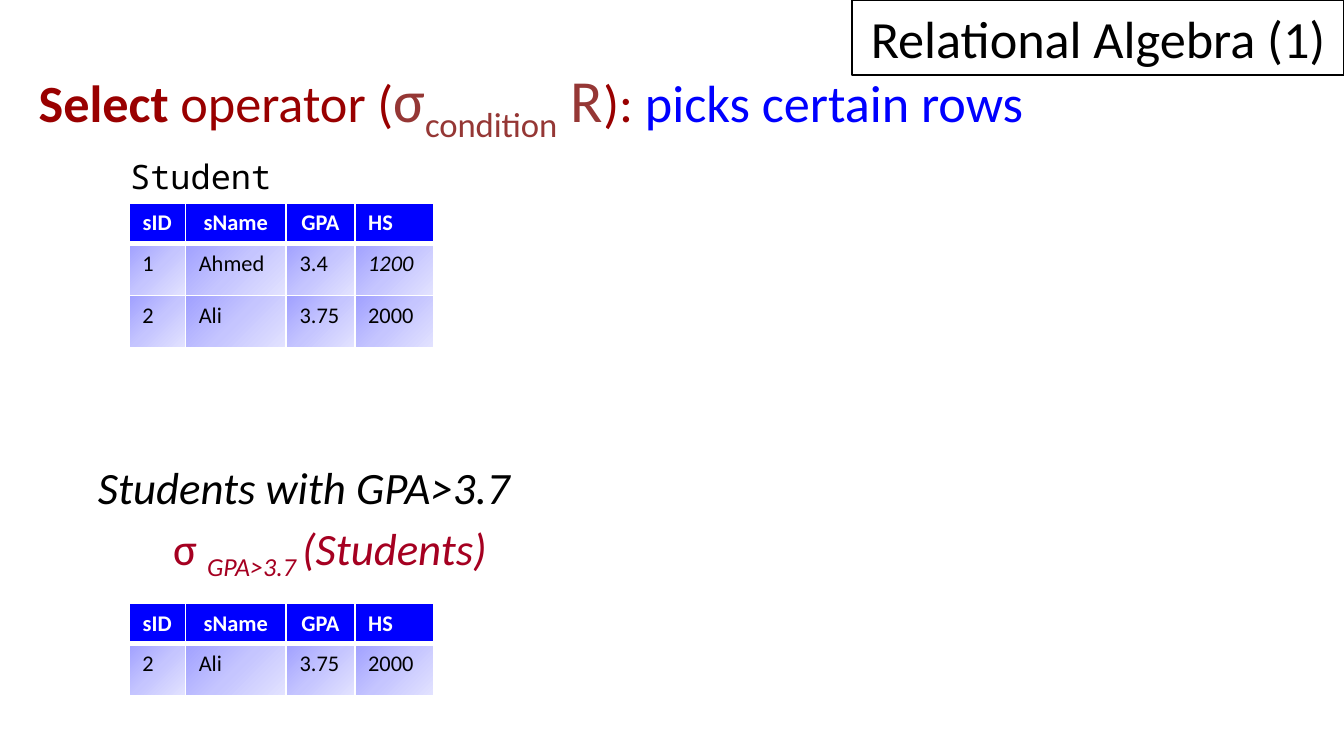
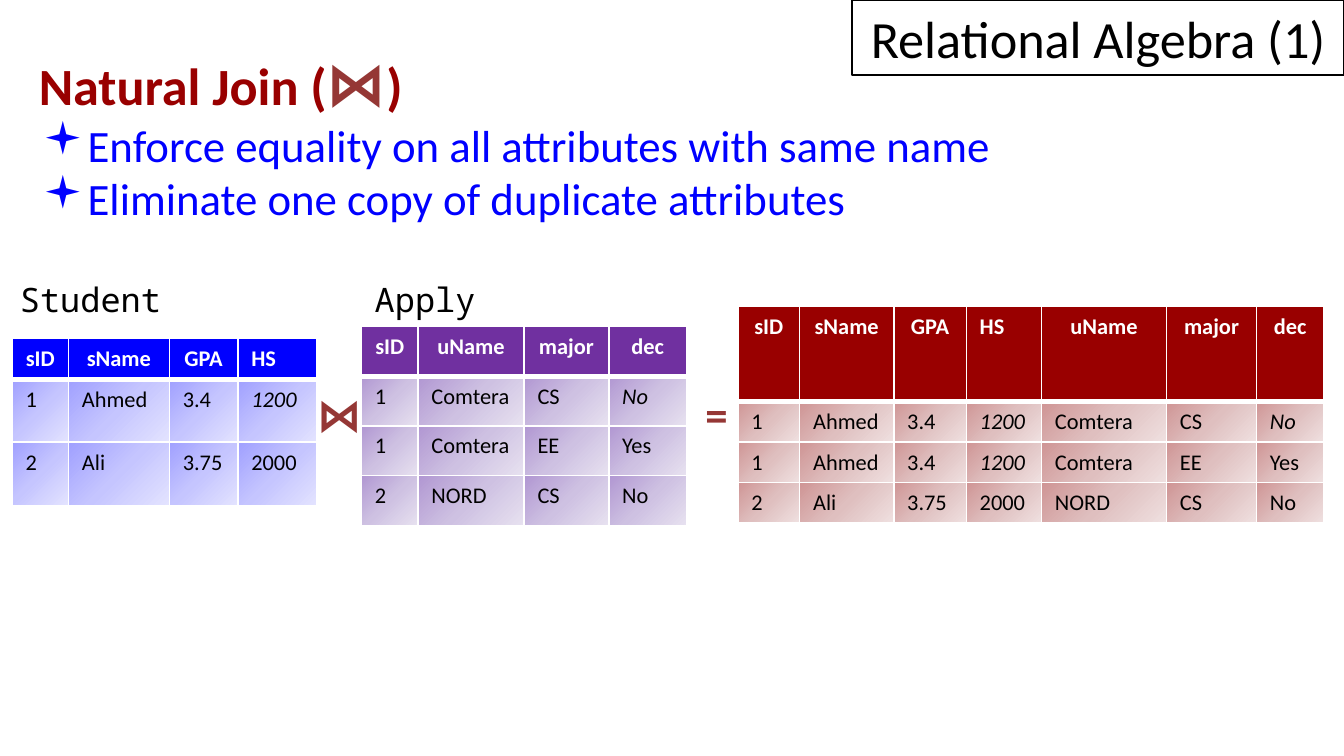
from lxml.etree import SubElement
from pptx import Presentation
from pptx.dml.color import RGBColor
from pptx.enum.shapes import MSO_SHAPE
from pptx.enum.text import MSO_ANCHOR, PP_ALIGN
from pptx.oxml.ns import qn
from pptx.util import Inches, Pt

SANS, MONO = "Calibri", "Noto Sans Mono"
BLACK, WHITE = "000000", "FFFFFF"
BLUE, RED, BROWN, CRIMSON = "0000FF", "990000", "953735", "A50021"
BANNER = "Relational Algebra (1)"
BLUE_TABLE = (BLUE, ("A0A0FF", "C5C5FF", "E3E3FF"))
PURPLE_TABLE = ("7030A0", ("B197D2", "CEC1E2", "E7E1F0"))
RED_TABLE = (RED, ("CF9595", "DFBFBF", "EFE0E0"))

STUDENT_COLS = [0.42, 0.75, 0.51, 0.59]
APPLY_COLS = [0.42, 0.79, 0.63, 0.58]
JOIN_COLS = [0.46, 0.7, 0.54, 0.56, 0.93, 0.67, 0.5]
STUDENT = [
    ["sID", "sName", "GPA", "HS"],
    ["1", "Ahmed", "3.4", "1200"],
    ["2", "Ali", "3.75", "2000"],
]
SELECTED = [STUDENT[0], STUDENT[2]]
APPLY = [
    ["sID", "uName", "major", "dec"],
    ["1", "Comtera", "CS", "No"],
    ["1", "Comtera", "EE", "Yes"],
    ["2", "NORD", "CS", "No"],
]
JOINED = [s + a[1:] for s in STUDENT for a in APPLY if s[0] == a[0]]
STUDENT_ITALIC = {(1, 3)}
APPLY_ITALIC = {(1, 3)}
JOIN_ITALIC = {(1, 3), (1, 6), (2, 3)}

SELECT_TITLE = [
    ("Select ", dict(size=28, color=RED, bold=True)),
    ("operator (", dict(size=28, color=RED)),
    ("σ", dict(size=32, color=BROWN)),
    ("condition", dict(size=32, color=BROWN, sub=True)),
    (" R", dict(size=32, color=BROWN)),
    ("): ", dict(size=28, color=RED)),
    ("picks certain rows", dict(size=28, color=BLUE)),
]
SELECT_QUERY = [("Students with GPA>3.7", dict(size=24, italic=True))]
SELECT_FORMULA = [
    ("σ ", dict(size=24, color=CRIMSON)),
    ("GPA>3.7 ", dict(size=24, color=CRIMSON, italic=True, sub=True)),
    ("(Students)", dict(size=24, color=CRIMSON, italic=True)),
]
JOIN_TITLE = [
    ("Natural Join (", dict(size=28, color=RED, bold=True)),
    ("⋈", dict(size=32, color=BROWN, bold=True)),
    (")", dict(size=28, color=RED, bold=True)),
]
JOIN_RULES = [
    "Enforce equality on all attributes with same name",
    "Eliminate one copy of duplicate attributes",
]
JOIN_SIGNS = [("⋈", 2.26), ("=", 5.15)]


def rgb(value):
    return RGBColor.from_string(value)


def add_run(p, text, size=12, color=BLACK, font=SANS, bold=False,
            italic=False, sub=False):
    r = p.add_run()
    r.text = text
    f = r.font
    f.size, f.name, f.bold, f.italic = Pt(size), font, bold, italic
    f.color.rgb = rgb(color)
    if sub:
        r._r.get_or_add_rPr().set("baseline", "-25000")


def add_paragraph(tf, runs, left=0, first=0, space=0, bullet=None):
    p = tf.paragraphs[0]
    if p.runs:
        p = tf.add_paragraph()
    p.space_before = p.space_after = Pt(space)
    pPr = p._p.get_or_add_pPr()
    pPr.set("marL", str(Inches(left)))
    pPr.set("indent", str(Inches(first)))
    if bullet:
        clr = SubElement(pPr, qn("a:buClr"))
        SubElement(clr, qn("a:srgbClr"), val=BLUE)
        SubElement(pPr, qn("a:buFont"), typeface="Wingdings")
        SubElement(pPr, qn("a:buChar"), char=bullet)
    for text, style in runs:
        add_run(p, text, **style)


def add_box(s, left, top, width, height, wrap=True):
    sp = s.shapes.add_textbox(*map(Inches, (left, top, width, height)))
    sp.text_frame.word_wrap = wrap
    return sp.text_frame


def add_label(s, text, left, top, width):
    tf = add_box(s, left, top, width, 0.4, wrap=False)
    add_paragraph(tf, [(text, dict(size=18, font=MONO))])


def add_banner(s):
    sp = s.shapes.add_shape(MSO_SHAPE.RECTANGLE, Inches(6.34), 0,
                            Inches(3.66), Inches(0.56))
    sp.shadow.inherit = False
    sp.fill.background()
    sp.line.color.rgb = rgb(BLACK)
    sp.line.width = Pt(0.75)
    tf = sp.text_frame
    tf.vertical_anchor = MSO_ANCHOR.BOTTOM
    tf.paragraphs[0].alignment = PP_ALIGN.CENTER
    add_run(tf.paragraphs[0], BANNER, size=28)


def set_borders(cell, top, bottom):
    tcPr = cell._tc.get_or_add_tcPr()
    sides = (("L", 1), ("R", 1), ("T", top), ("B", bottom))
    for i, (side, width) in enumerate(sides):
        ln = SubElement(tcPr, qn("a:ln" + side), w=str(Pt(width)))
        fill = SubElement(ln, qn("a:solidFill"))
        SubElement(fill, qn("a:srgbClr"), val=WHITE)
        tcPr.insert(i, ln)


def set_gradient(cell, colors):
    grad = SubElement(cell._tc.get_or_add_tcPr(), qn("a:gradFill"))
    stops = SubElement(grad, qn("a:gsLst"))
    for i, color in enumerate(colors):
        gs = SubElement(stops, qn("a:gs"), pos=str(i * 50000))
        SubElement(gs, qn("a:srgbClr"), val=color)
    SubElement(grad, qn("a:lin"), ang="2700000", scaled="0")


def add_data_table(s, rows, left, top, cols, head_h, row_h, theme, italics=()):
    heights = [head_h] + [row_h] * (len(rows) - 1)
    frame = s.shapes.add_table(len(rows), len(cols), Inches(left), Inches(top),
                               Inches(sum(cols)), Inches(sum(heights)))
    table = frame.table
    table.horz_banding = False
    for column, width in zip(table.columns, cols):
        column.width = Inches(width)
    for row, height in zip(table.rows, heights):
        row.height = Inches(height)
    head_color, body_colors = theme
    for i, values in enumerate(rows):
        for j, text in enumerate(values):
            cell = table.cell(i, j)
            p = cell.text_frame.paragraphs[0]
            if i == 0:
                cell.fill.solid()
                cell.fill.fore_color.rgb = rgb(head_color)
                p.alignment = PP_ALIGN.LEFT if text == "HS" else PP_ALIGN.CENTER
                add_run(p, text, color=WHITE, bold=True)
            else:
                set_gradient(cell, body_colors)
                add_run(p, text, italic=(i, j) in italics)
            set_borders(cell, 3 if i == 1 else 1, 3 if i == 0 else 1)


def add_slide(prs):
    s = prs.slides.add_slide(prs.slide_layouts[6])
    add_banner(s)
    return s


def build_select(prs):
    s = add_slide(prs)
    tf = add_box(s, 0.09, 0.42, 8.86, 0.65)
    add_paragraph(tf, SELECT_TITLE, left=0.66, first=-0.56, space=3)
    tf = add_box(s, 0.09, 3.37, 8.86, 1)
    add_paragraph(tf, SELECT_QUERY, left=1.1, first=-0.56, space=2)
    add_paragraph(tf, SELECT_FORMULA, left=1.1, space=2)
    add_label(s, "Student", 0.87, 1.11, 1.27)
    add_data_table(s, STUDENT, 0.96, 1.51, STUDENT_COLS, 0.3, 0.39,
                   BLUE_TABLE, STUDENT_ITALIC)
    add_data_table(s, SELECTED, 0.96, 4.49, STUDENT_COLS, 0.3, 0.39, BLUE_TABLE)


def build_join(prs):
    s = add_slide(prs)
    tf = add_box(s, 0.09, 0.29, 9.11, 1.5)
    add_paragraph(tf, JOIN_TITLE, left=0.66, first=-0.56)
    for rule in JOIN_RULES:
        add_paragraph(tf, [(rule, dict(size=24, color=BLUE))],
                      left=0.44, first=-0.31, bullet="▪")
    for sign, left in JOIN_SIGNS:
        tf = add_box(s, left, 2.83, 0.5, 0.5, wrap=False)
        add_paragraph(tf, [(sign, dict(size=24, color=BROWN, bold=True))])
    add_data_table(s, JOINED, 5.49, 2.28, JOIN_COLS, 0.71, 0.3,
                   RED_TABLE, JOIN_ITALIC)
    add_data_table(s, STUDENT, 0.09, 2.52, STUDENT_COLS, 0.3, 0.47,
                   BLUE_TABLE, STUDENT_ITALIC)
    add_data_table(s, APPLY, 2.69, 2.43, APPLY_COLS, 0.37, 0.37,
                   PURPLE_TABLE, APPLY_ITALIC)
    add_label(s, "Student", 0.05, 2.03, 1.27)
    add_label(s, "Apply", 2.69, 2.03, 0.96)


prs = Presentation()
prs.slide_width = Inches(10)
prs.slide_height = prs.slide_width * 9 // 16
build_select(prs)
build_join(prs)
prs.save("out.pptx")
